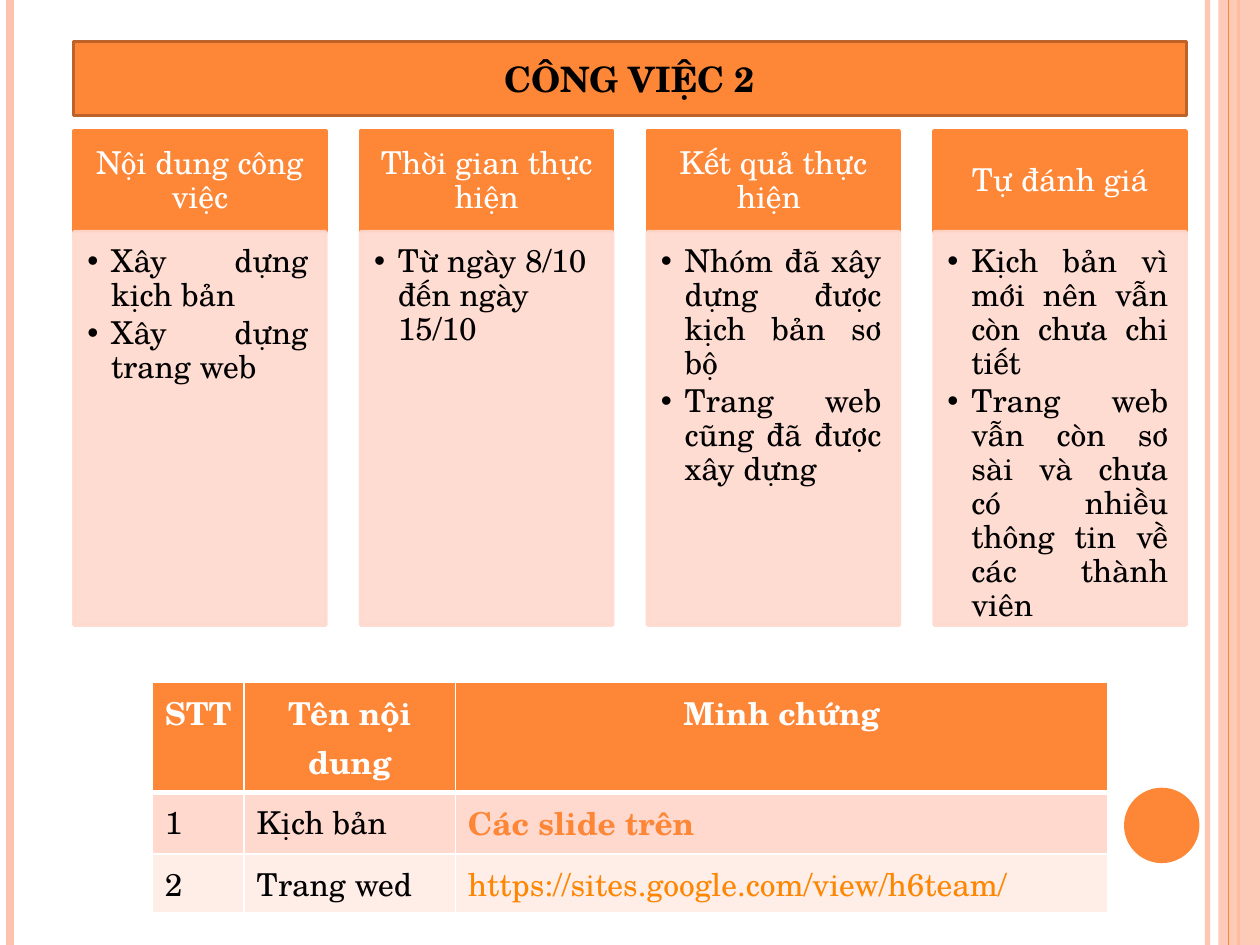
from dataclasses import dataclass
from functools import reduce

from lxml import etree
from pptx import Presentation
from pptx import util as u
from pptx.dml.color import RGBColor
from pptx.enum import shapes, text
from pptx.oxml.ns import qn


@dataclass(frozen=True)
class Theme:
    font: str = "TeX Gyre Schola"
    orange: str = "FE8637"
    dark_orange: str = "BC6329"
    link: str = "FD8603"
    salmon: str = "FEC3AE"
    peach: str = "FFD9CE"
    pale: str = "FFEDE8"
    white: str = "FFFFFF"
    black: str = "000000"
    title_size: int = 20
    text_size: int = 18


THEME = Theme()
ALIGN = text.PP_ALIGN
ANCHOR = text.MSO_ANCHOR

# Four columns: heading, alignment of the list, list items
COLUMNS = [
    ("Nội dung công việc", ALIGN.JUSTIFY,
     ["Xây dựng kịch bản", "Xây dựng trang web"]),
    ("Thời gian thực hiện", ALIGN.LEFT,
     ["Từ ngày 8/10 đến ngày 15/10"]),
    ("Kết quả thực hiện ", ALIGN.JUSTIFY,
     ["Nhóm đã xây dựng được kịch bản sơ bộ",
      "Trang web cũng đã được xây dựng"]),
    ("Tự đánh giá", ALIGN.JUSTIFY,
     ["Kịch bản vì mới nên vẫn còn chưa chi tiết",
      "Trang web vẫn còn sơ sài và chưa có nhiều thông tin về các thành viên"]),
]
COLUMN_LEFT, COLUMN_STEP, COLUMN_WIDTH = 1.49, 5.78, 5.08

EVIDENCE = [
    ["STT", "Tên nội dung", "Minh chứng"],
    ["1", "Kịch bản", "Các slide trên"],
    ["2", "Trang wed", "https://sites.google.com/view/h6team/"],
]
EVIDENCE_WIDTHS = [1.85, 4.26, 13.16]
EVIDENCE_HEIGHTS = [1.27, 0.91, 0.91]
EVIDENCE_FILLS = [THEME.orange, THEME.peach, THEME.pale]
# Colour and weight of the evidence column, by row
EVIDENCE_STYLES = {1: (THEME.orange, True), 2: (THEME.link, False)}


def set_values(target, values):
    """Set attributes, given by dotted name, from a dict."""
    for name, value in values.items():
        *owners, attribute = name.split(".")
        setattr(reduce(getattr, owners, target), attribute, value)


def place(shape, left, top, width, height):
    set_values(shape, {"left": u.Cm(left), "top": u.Cm(top),
                       "width": u.Cm(width), "height": u.Cm(height)})


def paint(shape, fill, line=None, line_width=2, opacity=100):
    shape.fill.solid()
    shape.fill.fore_color.rgb = RGBColor.from_string(fill)
    if line:
        set_values(shape.line, {"color.rgb": RGBColor.from_string(line),
                                "width": u.Pt(line_width)})
    else:
        shape.line.fill.background()
    set_opacity(shape, opacity)


def set_opacity(shape, opacity):
    if opacity < 100:
        for color in shape._element.spPr.iter(qn("a:srgbClr")):
            etree.SubElement(color, qn("a:alpha"), val=str(opacity * 1000))


def write(paragraph, words, color, size=THEME.text_size, bold=False, **formats):
    set_values(paragraph, formats)
    run = paragraph.add_run()
    run.text = words
    set_values(run.font, {"name": THEME.font, "size": u.Pt(size), "bold": bold,
                          "color.rgb": RGBColor.from_string(color)})


def set_frame(frame, anchor, left, top, right, bottom):
    set_values(frame, {
        "word_wrap": True, "auto_size": text.MSO_AUTO_SIZE.NONE,
        "vertical_anchor": anchor,
        "margin_left": u.Cm(left), "margin_top": u.Cm(top),
        "margin_right": u.Cm(right), "margin_bottom": u.Cm(bottom)})


def add_bullet(paragraph, indent=0.48):
    properties = paragraph._p.get_or_add_pPr()
    properties.set("marL", str(u.Cm(indent)))
    properties.set("indent", str(-u.Cm(indent)))
    etree.SubElement(properties, qn("a:buFont"), typeface="Arial")
    etree.SubElement(properties, qn("a:buChar"), char="•")


def add_block(slide, kind, box, fill, line=None, opacity=100):
    shape = slide.shapes.add_shape(kind, *map(u.Cm, box))
    shape.shadow.inherit = False
    paint(shape, fill, line, opacity=opacity)
    return shape


def add_rule(slide, x, color, width, opacity=100):
    rule = slide.shapes.add_connector(
        shapes.MSO_CONNECTOR.STRAIGHT, u.Cm(x), 0, u.Cm(x), u.Cm(19.05))
    set_values(rule.line, {"color.rgb": RGBColor.from_string(color),
                           "width": u.Pt(width)})
    set_opacity(rule, opacity)
    etree.SubElement(rule._element.spPr, qn("a:effectLst"))


def add_decoration(slide):
    add_rule(slide, 24.34, THEME.salmon, 3, 93)
    add_rule(slide, 0.21, THEME.salmon, 4.5)
    add_rule(slide, 24.97, THEME.orange, 1.5)
    add_block(slide, shapes.MSO_SHAPE.RECTANGLE, (24.56, 0, 0.84, 19.05),
              THEME.salmon, opacity=87)
    add_rule(slide, 24.77, THEME.orange, 0.75)
    add_block(slide, shapes.MSO_SHAPE.OVAL, (22.66, 15.88, 1.52, 1.52), THEME.orange)


def fill_title(title, words):
    place(title, 1.48, 0.84, 22.44, 1.49)
    paint(title, THEME.orange, THEME.dark_orange)
    set_frame(title.text_frame, ANCHOR.MIDDLE, 0.25, 0.13, 0.25, 0.13)
    write(title.text_frame.paragraphs[0], words, THEME.black, THEME.title_size,
          bold=True, alignment=ALIGN.CENTER)


def add_heading(slide, left, words):
    heading = add_block(slide, shapes.MSO_SHAPE.RECTANGLE,
                        (left, 2.64, COLUMN_WIDTH, 2.03), THEME.orange, THEME.orange)
    set_frame(heading.text_frame, ANCHOR.MIDDLE, 0.36, 0.2, 0.36, 0.2)
    write(heading.text_frame.paragraphs[0], words, THEME.white,
          alignment=ALIGN.CENTER, line_spacing=0.9)


def fill_list(slide, body, left, items, alignment):
    place(body, left, 4.67, COLUMN_WIDTH, 7.93)
    paint(body, THEME.peach, THEME.peach, opacity=90)
    # The list lies in front of its heading
    slide.shapes._spTree.append(body._element)
    frame = body.text_frame
    set_frame(frame, ANCHOR.TOP, 0.27, 0.27, 0.36, 0.41)
    for number, item in enumerate(items):
        paragraph = frame.add_paragraph() if number else frame.paragraphs[0]
        add_bullet(paragraph)
        write(paragraph, item, THEME.black, alignment=alignment, line_spacing=0.9,
              space_before=u.Pt(0), space_after=u.Pt(2.2))


def set_borders(cell, widths):
    properties = cell._tc.get_or_add_tcPr()
    for position, (side, width) in enumerate(widths.items()):
        line = etree.Element(qn(f"a:ln{side}"), w=str(u.Pt(width)))
        fill = etree.SubElement(line, qn("a:solidFill"))
        etree.SubElement(fill, qn("a:srgbClr"), val=THEME.white)
        properties.insert(position, line)


def add_evidence_table(slide):
    table = slide.shapes.add_table(
        len(EVIDENCE), len(EVIDENCE_WIDTHS), u.Cm(3.07), u.Cm(13.76),
        u.Cm(sum(EVIDENCE_WIDTHS)), u.Cm(sum(EVIDENCE_HEIGHTS))).table
    table.horz_banding = False
    for column, width in zip(table.columns, EVIDENCE_WIDTHS):
        column.width = u.Cm(width)
    for y, words in enumerate(EVIDENCE):
        table.rows[y].height = u.Cm(EVIDENCE_HEIGHTS[y])
        for x, word in enumerate(words):
            cell = table.cell(y, x)
            cell.fill.solid()
            cell.fill.fore_color.rgb = RGBColor.from_string(EVIDENCE_FILLS[y])
            set_borders(cell, {"L": 1, "R": 1, "T": 3 if y == 1 else 1,
                               "B": 3 if y == 0 else 1})
            color, bold = (THEME.white, True) if y == 0 else (THEME.black, False)
            if x == 2:
                color, bold = EVIDENCE_STYLES.get(y, (color, bold))
            write(cell.text_frame.paragraphs[0], word, color, bold=bold,
                  alignment=ALIGN.LEFT if y else ALIGN.CENTER)


def main():
    presentation = Presentation()
    set_values(presentation, {"slide_width": u.Cm(25.4), "slide_height": u.Cm(19.05)})
    # The Comparison layout has one title and four bodies
    slide = presentation.slides.add_slide(presentation.slide_layouts[4])
    title, *bodies = list(slide.placeholders)

    add_decoration(slide)
    fill_title(title, "CÔNG VIỆC 2")
    for number, (heading, alignment, items) in enumerate(COLUMNS):
        left = COLUMN_LEFT + number * COLUMN_STEP
        add_heading(slide, left, heading)
        fill_list(slide, bodies[number], left, items, alignment)
    add_evidence_table(slide)
    presentation.save("out.pptx")


if __name__ == "__main__":
    main()
